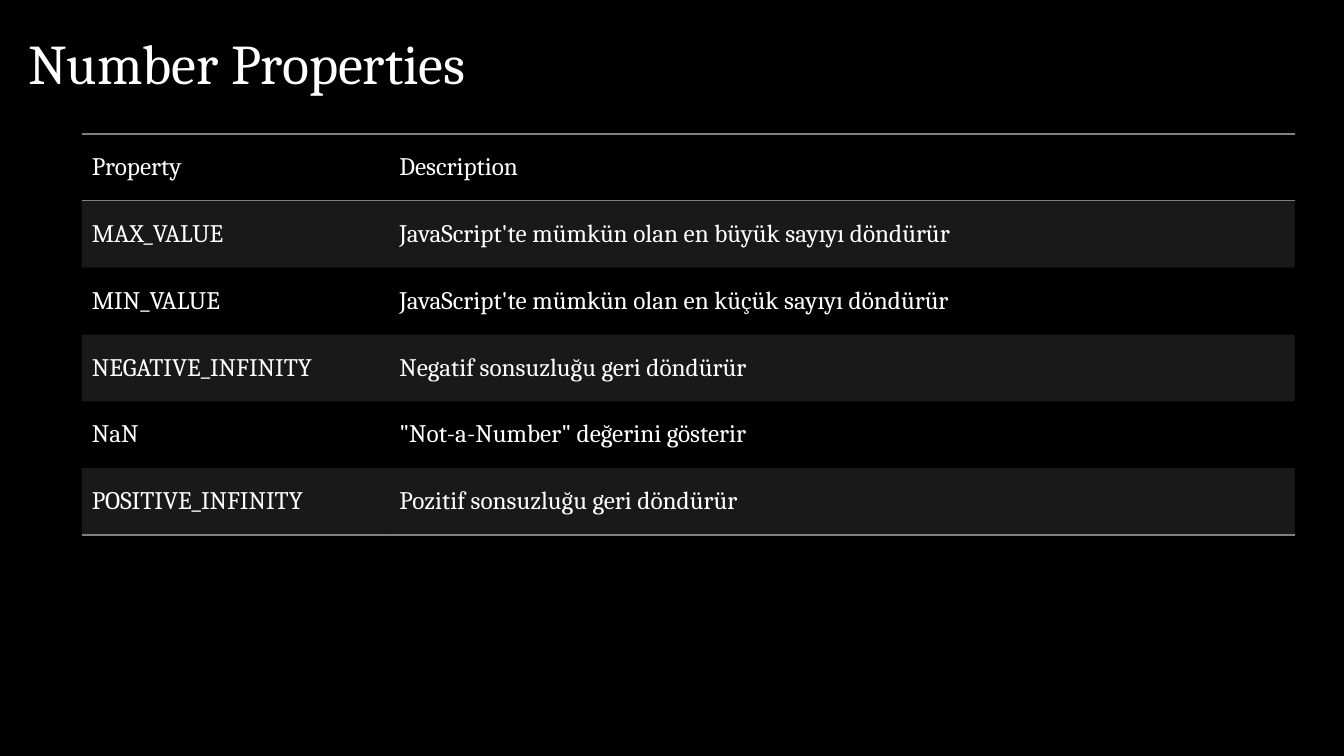
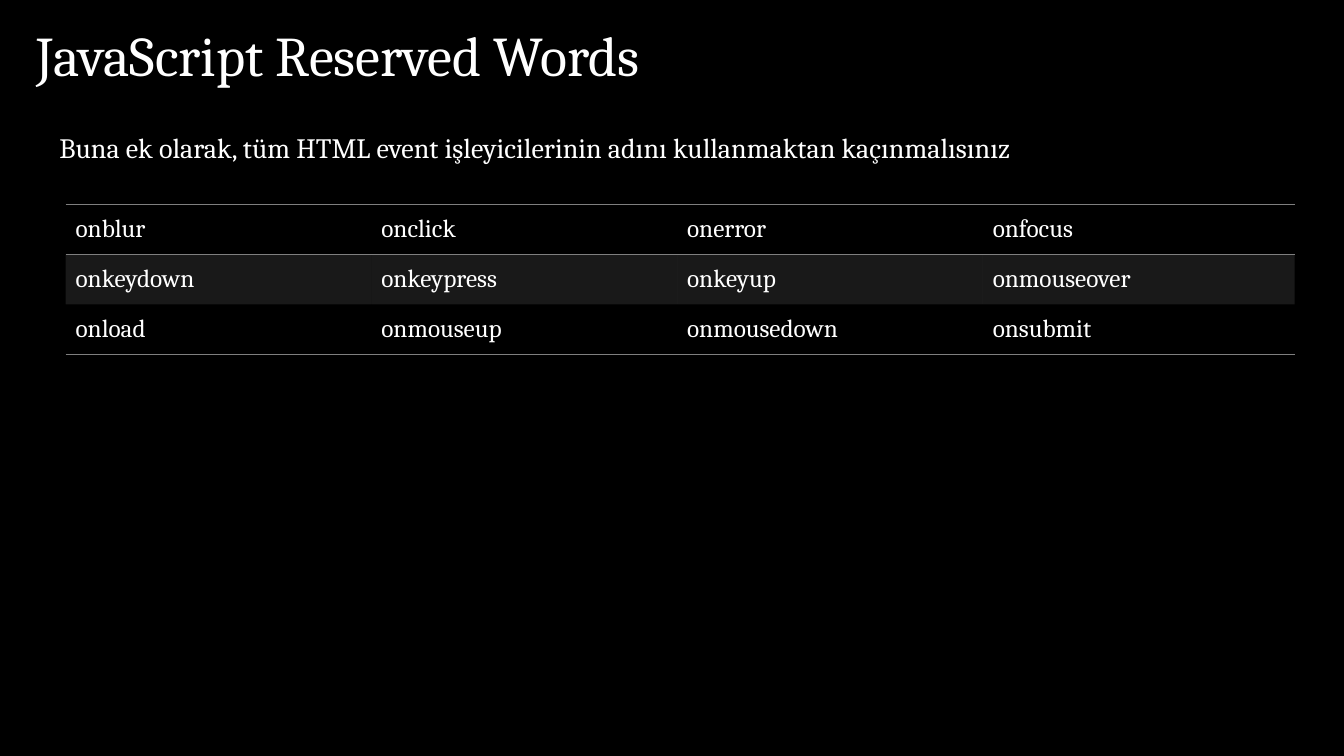
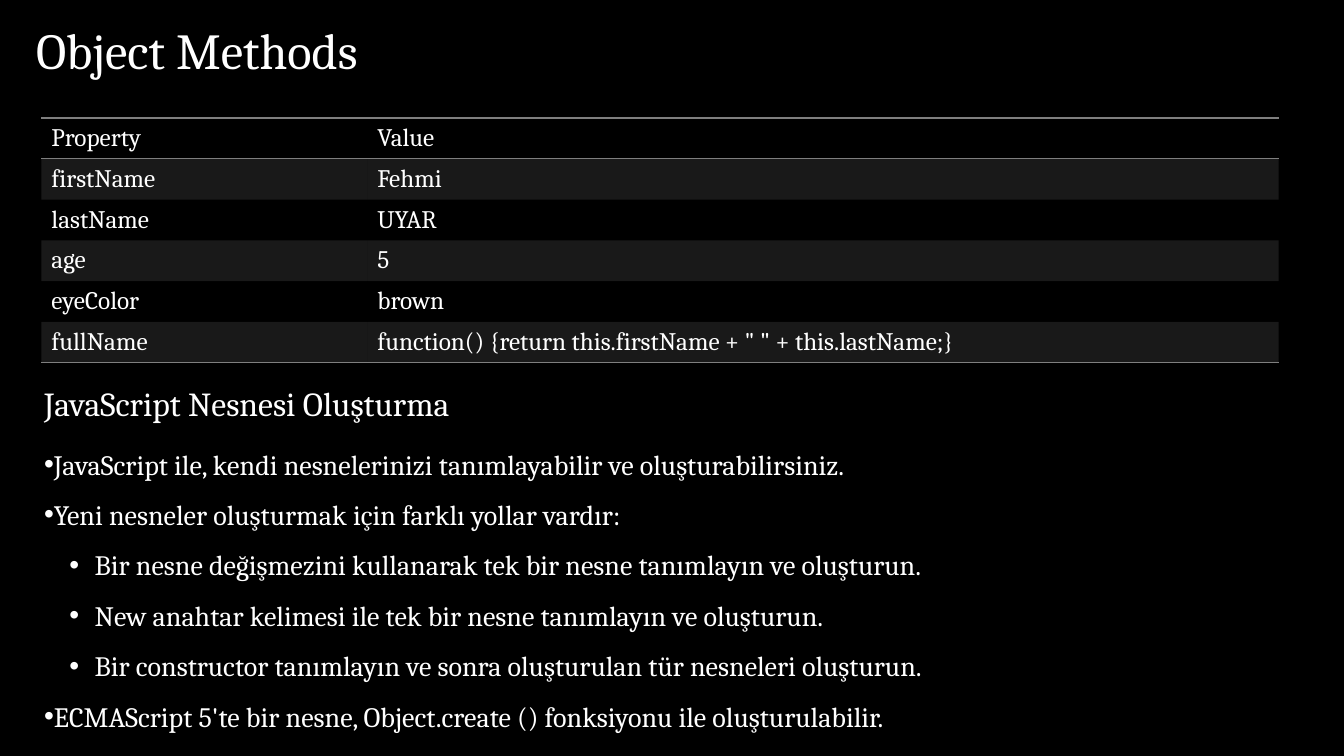
from dataclasses import dataclass
from typing import NamedTuple

from lxml import etree
from pptx import Presentation
from pptx.dml.color import RGBColor
from pptx.enum.text import MSO_ANCHOR, PP_ALIGN
from pptx.oxml.ns import qn
from pptx.util import Emu, Inches, Pt

TOP, MIDDLE, BOTTOM = MSO_ANCHOR.TOP, MSO_ANCHOR.MIDDLE, MSO_ANCHOR.BOTTOM
LEFT = PP_ALIGN.LEFT
WIDTH, HEIGHT = Inches(13.33), Inches(7.5)
BLANK_LAYOUT = 6


@dataclass(frozen=True)
class Theme:
    font: str = "Cambria"
    background: str = "000000"
    ink: str = "FFFFFF"
    rule: str = "7F7F7F"
    rule_width: int = 1
    band_opacity: int = 20
    title: int = 40
    small_title: int = 36
    heading: int = 24
    body: int = 20
    cell: int = 18
    title_spacing: float = 0.8
    body_spacing: float = 1.5
    nested_indent: float = 0.5
    nested_hang: float = 0.25
    plain_table: str = "{2D5ABB26-0587-4C30-8999-92F81FD0307C}"


THEME = Theme()


class Box(NamedTuple):
    """Left, top, width and height in percent of the slide."""
    left: float
    top: float
    width: float
    height: float

    def lengths(self):
        return [Emu(round(share * side / 100))
                for share, side in zip(self, (WIDTH, HEIGHT, WIDTH, HEIGHT))]


def write(frame, *lines, size=THEME.body, anchor=TOP, spacing=None, levels=None):
    frame.word_wrap = True
    frame.vertical_anchor = anchor
    for index, line in enumerate(lines):
        paragraph = frame.add_paragraph() if index else frame.paragraphs[0]
        paragraph.alignment = LEFT
        if spacing:
            paragraph.line_spacing = spacing
        if levels:
            add_bullet(paragraph, levels[index])
        run = paragraph.add_run()
        run.text = line
        run.font.name = THEME.font
        run.font.size = Pt(size)
        run.font.color.rgb = RGBColor.from_string(THEME.ink)


def add_bullet(paragraph, level):
    paragraph.level = level
    properties = paragraph._p.get_or_add_pPr()
    properties.set("marL", str(Inches(THEME.nested_indent * level)))
    properties.set("indent", str(-Inches(THEME.nested_hang * level)))
    etree.SubElement(properties, qn("a:buFont")).set("typeface", "Arial")
    etree.SubElement(properties, qn("a:buChar")).set("char", "•")


def add_text(slide, box, *lines, **text_format):
    write(slide.shapes.add_textbox(*box.lengths()).text_frame, *lines, **text_format)


def add_rule(cell, side):
    line = etree.SubElement(cell._tc.get_or_add_tcPr(), qn(side))
    line.set("w", str(Pt(THEME.rule_width)))
    fill = etree.SubElement(line, qn("a:solidFill"))
    etree.SubElement(fill, qn("a:srgbClr")).set("val", THEME.rule)


def shade(cell, banded):
    if not banded:
        cell.fill.background()
        return
    cell.fill.solid()
    cell.fill.fore_color.rgb = RGBColor.from_string(THEME.rule)
    color = cell._tc.tcPr.find(qn("a:solidFill")).find(qn("a:srgbClr"))
    etree.SubElement(color, qn("a:alpha")).set("val", str(THEME.band_opacity * 1000))


def add_banded_table(slide, box, weights, rows):
    left, top, width, height = box.lengths()
    table = slide.shapes.add_table(len(rows), len(weights), left, top, width, height).table
    table.first_row = table.horz_banding = False
    table._tbl.tblPr.find(qn("a:tableStyleId")).text = THEME.plain_table
    for column, weight in zip(table.columns, weights):
        column.width = round(width * weight / sum(weights))
    for row_index, texts in enumerate(rows):
        table.rows[row_index].height = round(height / len(rows))
        for column_index, text in enumerate(texts):
            cell = table.cell(row_index, column_index)
            write(cell.text_frame, text, size=THEME.cell)
            cell.vertical_anchor = MIDDLE
            if row_index == 0:
                add_rule(cell, "a:lnT")
            if row_index in (0, len(rows) - 1):
                add_rule(cell, "a:lnB")
            shade(cell, banded=row_index % 2 == 1)


def add_titled_slide(deck, title, box, size=THEME.title):
    slide = deck.slides.add_slide(deck.slide_layouts[BLANK_LAYOUT])
    slide.background.fill.solid()
    slide.background.fill.fore_color.rgb = RGBColor.from_string(THEME.background)
    add_text(slide, box, title, size=size, anchor=BOTTOM, spacing=THEME.title_spacing)
    return slide


def number_properties(deck):
    slide = add_titled_slide(deck, "Number Properties", Box(1.35, 3.07, 41.04, 10.13))
    add_banded_table(slide, Box(6.08, 17.73, 90.25, 53.07), (3.05, 8.98), [
        ("Property", "Description"),
        ("MAX_VALUE", "JavaScript'te mümkün olan en büyük sayıyı döndürür"),
        ("MIN_VALUE", "JavaScript'te mümkün olan en küçük sayıyı döndürür"),
        ("NEGATIVE_INFINITY", "Negatif sonsuzluğu geri döndürür"),
        ("NaN", '"Not-a-Number" değerini gösterir'),
        ("POSITIVE_INFINITY", "Pozitif sonsuzluğu geri döndürür"),
    ])


def reserved_words(deck):
    slide = add_titled_slide(deck, "JavaScript Reserved Words", Box(1.95, 3.07, 94.37, 9.07))
    add_banded_table(slide, Box(4.88, 27.07, 91.45, 19.8), (3.03, 3.03, 3.03, 3.09), [
        ("onblur", "onclick", "onerror", "onfocus"),
        ("onkeydown", "onkeypress", "onkeyup", "onmouseover"),
        ("onload", "onmouseup", "onmousedown", "onsubmit"),
    ])
    add_text(slide, Box(3.68, 16.67, 83.27, 5.87),
             "Buna ek olarak, tüm HTML event işleyicilerinin adını kullanmaktan kaçınmalısınız")


def object_methods(deck):
    slide = add_titled_slide(deck, "Object Methods", Box(1.95, 3.07, 78.77, 8),
                             size=THEME.small_title)
    add_banded_table(slide, Box(3.08, 15.6, 92.05, 32.4), (3.23, 9.03), [
        ("Property", "Value"),
        ("firstName", "Fehmi"),
        ("lastName", "UYAR"),
        ("age", "5"),
        ("eyeColor", "brown"),
        ("fullName", 'function() {return this.firstName + " " + this.lastName;}'),
    ])
    add_text(slide, Box(2.55, 50, 37.51, 6.67), "JavaScript Nesnesi Oluşturma",
             size=THEME.heading)
    add_text(slide, Box(2.55, 56.27, 91.45, 41.73),
             "JavaScript ile, kendi nesnelerinizi tanımlayabilir ve oluşturabilirsiniz.",
             "Yeni nesneler oluşturmak için farklı yollar vardır:",
             "Bir nesne değişmezini kullanarak tek bir nesne tanımlayın ve oluşturun.",
             "New anahtar kelimesi ile tek bir nesne tanımlayın ve oluşturun.",
             "Bir constructor tanımlayın ve sonra oluşturulan tür nesneleri oluşturun.",
             "ECMAScript 5'te bir nesne, Object.create () fonksiyonu ile oluşturulabilir.",
             spacing=THEME.body_spacing, levels=(0, 0, 1, 1, 1, 0))


deck = Presentation()
deck.slide_width, deck.slide_height = WIDTH, HEIGHT
for build_slide in (number_properties, reserved_words, object_methods):
    build_slide(deck)
deck.save("out.pptx")
